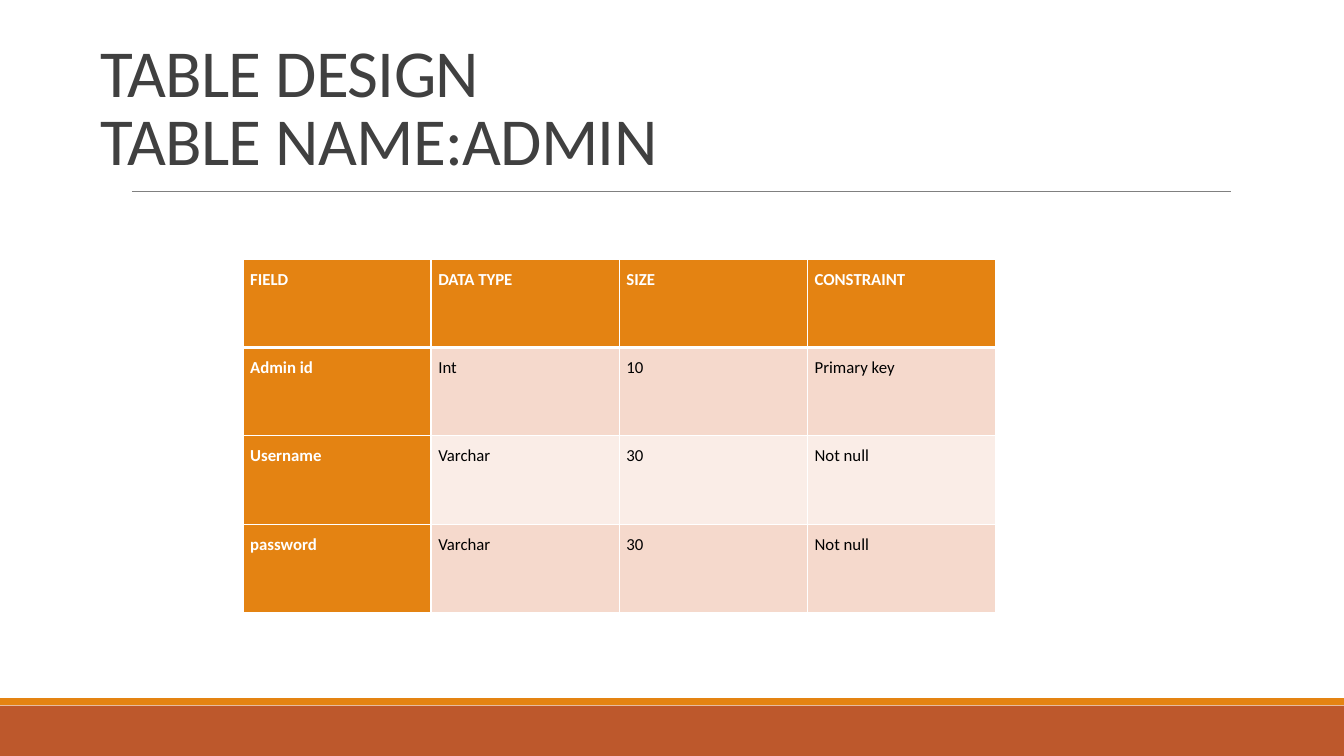
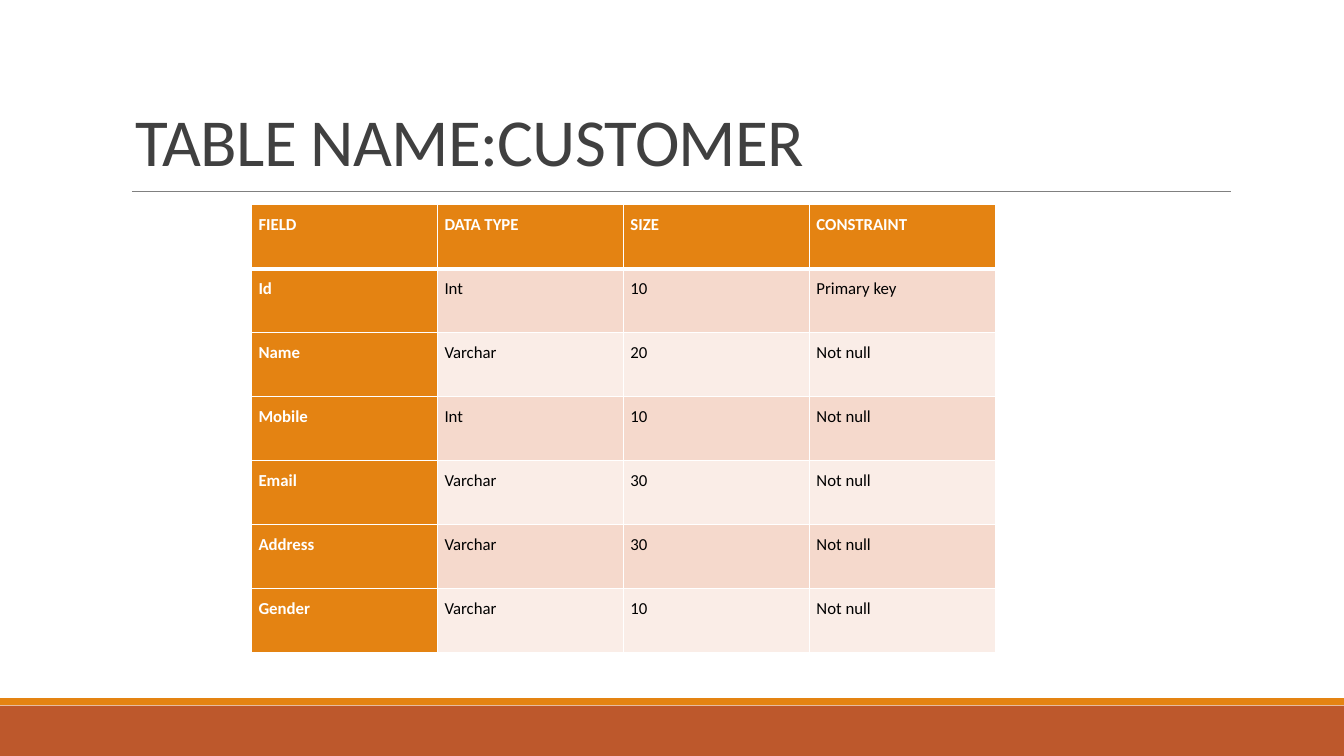
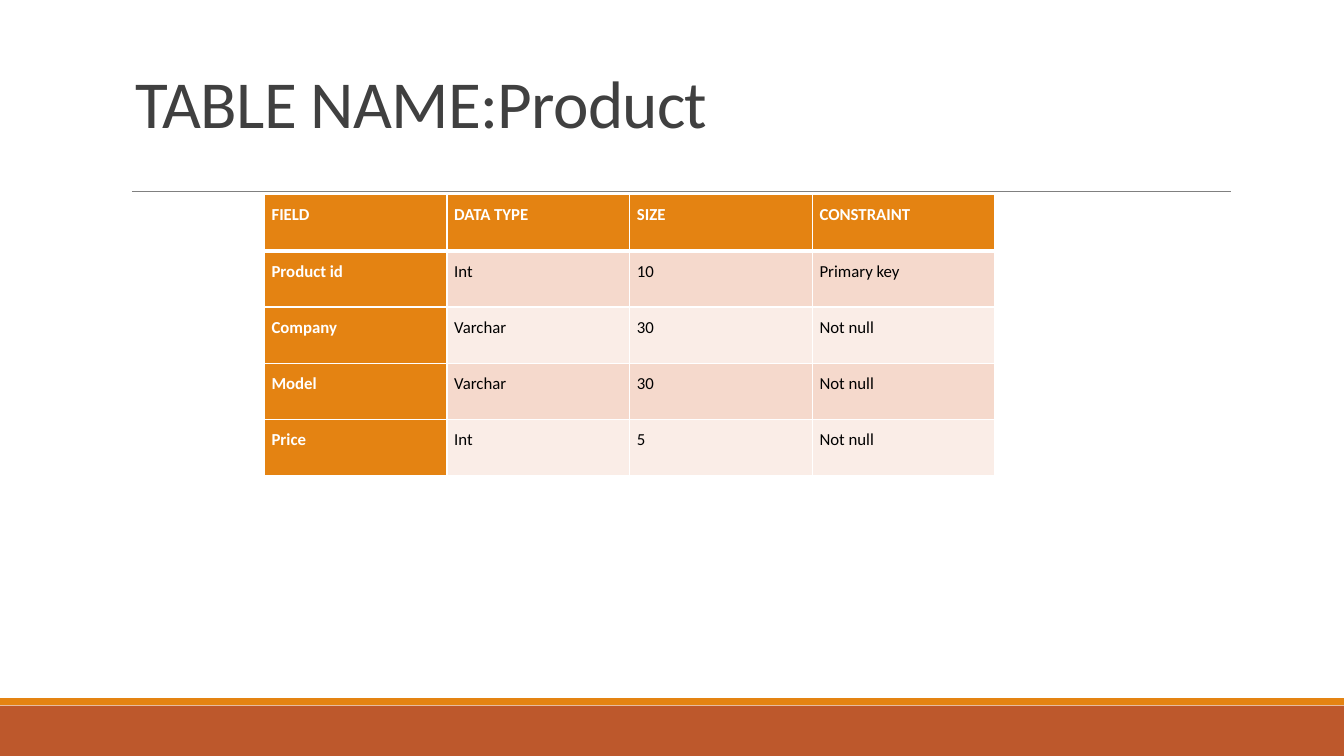
from dataclasses import dataclass

from lxml.etree import SubElement
from pptx import Presentation
from pptx.dml.color import RGBColor as RGB
from pptx.enum.shapes import MSO_CONNECTOR as CONN, MSO_SHAPE as SHAPE
from pptx.enum.text import MSO_ANCHOR as ANCHOR
from pptx.oxml import parse_xml
from pptx.oxml.ns import nsdecls, qn
from pptx.util import Pt


@dataclass(frozen=True)
class Theme:
    """Colours, font and sizes shared by all slides."""

    font: str = "Calibri"
    title_size: float = 48
    cell_size: float = 12
    title: str = "404040"
    rule: str = "808080"
    accent: str = "E48312"
    footer: str = "BD582C"
    odd_row: str = "F5D9CC"
    even_row: str = "FAEDE7"
    white: str = "FFFFFF"
    black: str = "000000"


T = Theme()
SLIDE_W, SLIDE_H = 960, 540
HEADER = ("FIELD", "DATA TYPE", "SIZE", "CONSTRAINT")
PAGES = (
    dict(
        title="TABLE DESIGN \vTABLE NAME:ADMIN",
        title_box=(64.8, 23, 780, 108.8),
        table_box=(173.5, 185, 537.6, 252.6),
        rows=(
            ("Admin id", "Int", "10", "Primary key"),
            ("Username", "Varchar", "30", "Not null"),
            ("password", "Varchar", "30", "Not null"),
        ),
    ),
    dict(
        title="TABLE NAME:CUSTOMER",
        title_box=(90, 34.6, 780, 97.9),
        table_box=(179.5, 146.2, 531.4, 320.2),
        rows=(
            ("Id", "Int", "10", "Primary key"),
            ("Name", "Varchar", "20", "Not null"),
            ("Mobile", "Int", "10", "Not null"),
            ("Email", "Varchar", "30", "Not null"),
            ("Address", "Varchar", "30", "Not null"),
            ("Gender", "Varchar", "10", "Not null"),
        ),
    ),
    dict(
        title="TABLE NAME:Product",
        title_box=(90, 12.2, 780, 92.9),
        table_box=(188.8, 139, 522, 200.8),
        rows=(
            ("Product id", "Int", "10", "Primary key"),
            ("Company", "Varchar", "30", "Not null"),
            ("Model", "Varchar", "30", "Not null"),
            ("Price", "Int", "5", "Not null"),
        ),
    ),
)


def style_runs(p, size, color, bold=False, spacing=None):
    """Format every run of a paragraph."""
    for r in p.runs:
        f = r.font
        f.name, f.size, f.bold = T.font, Pt(size), bold
        f.color.rgb = RGB.from_string(color)
        if spacing is not None:
            r._r.get_or_add_rPr().set("spc", str(spacing))


def add_band(s, top, height, color):
    """Draw a full-width band."""
    sp = s.shapes.add_shape(SHAPE.RECTANGLE, 0, Pt(top), Pt(SLIDE_W), Pt(height))
    sp.shadow.inherit = False
    sp.fill.solid()
    sp.fill.fore_color.rgb = RGB.from_string(color)
    sp.line.fill.background()


def add_frame(s):
    """Draw the footer bands and the rule under the title."""
    add_band(s, 504, SLIDE_H - 504, T.footer)
    add_band(s, 498.76, 5.04, T.accent)
    y = Pt(136.8)
    rule = s.shapes.add_connector(CONN.STRAIGHT, Pt(94.3), y, Pt(879.1), y)
    rule.line.color.rgb = RGB.from_string(T.rule)
    rule.line.width = Pt(0.5)
    SubElement(rule._element.spPr, qn("a:effectLst"))


def add_title(s, box, text):
    """Place the title at the bottom of its box."""
    tf = s.shapes.add_textbox(*map(Pt, box)).text_frame
    tf.word_wrap = True
    tf.vertical_anchor = ANCHOR.BOTTOM
    p = tf.paragraphs[0]
    p.text = text
    p.line_spacing = 0.85
    style_runs(p, T.title_size, T.title, spacing=-50)


def set_borders(cell, top, bottom):
    """Give a cell white borders of the given top and bottom widths."""
    tc_pr = cell._tc.get_or_add_tcPr()
    widths = dict(lnL=1, lnR=1, lnT=top, lnB=bottom)
    for i, (tag, width) in enumerate(widths.items()):
        tc_pr.insert(i, parse_xml(
            f'<a:{tag} {nsdecls("a")} w="{Pt(width)}"><a:solidFill>'
            f'<a:srgbClr val="{T.white}"/></a:solidFill></a:{tag}>'))


def fill_cell(cell, text, i, j):
    """Write and style the cell at row i, column j."""
    is_head = i == 0 or j == 0
    cell.margin_left = cell.margin_right = Pt(5.2)
    cell.margin_top = cell.margin_bottom = 0
    cell.fill.solid()
    color = T.accent if is_head else T.odd_row if i % 2 else T.even_row
    cell.fill.fore_color.rgb = RGB.from_string(color)
    set_borders(cell, 3 if i == 1 else 1, 3 if i == 0 else 1)
    p = cell.text_frame.paragraphs[0]
    p.text = text
    p.line_spacing = 1.5
    style_runs(p, T.cell_size, T.white if is_head else T.black, is_head)


def add_field_table(s, box, rows):
    """Draw a table of fields with equal rows and columns in its box."""
    data = (HEADER, *rows)
    table = s.shapes.add_table(len(data), len(HEADER), *map(Pt, box)).table
    for col in table.columns:
        col.width = Pt(box[2] / len(HEADER))
    for i, values in enumerate(data):
        table.rows[i].height = Pt(box[3] / len(data))
        for j, text in enumerate(values):
            fill_cell(table.cell(i, j), text, i, j)


def add_page(prs, title, title_box, table_box, rows):
    """Add one table design slide."""
    s = prs.slides.add_slide(prs.slide_layouts[6])
    add_frame(s)
    add_title(s, title_box, title)
    add_field_table(s, table_box, rows)


def main():
    """Build and save the presentation."""
    prs = Presentation()
    prs.slide_width, prs.slide_height = Pt(SLIDE_W), Pt(SLIDE_H)
    for page in PAGES:
        add_page(prs, **page)
    prs.save("out.pptx")


if __name__ == "__main__":
    main()
